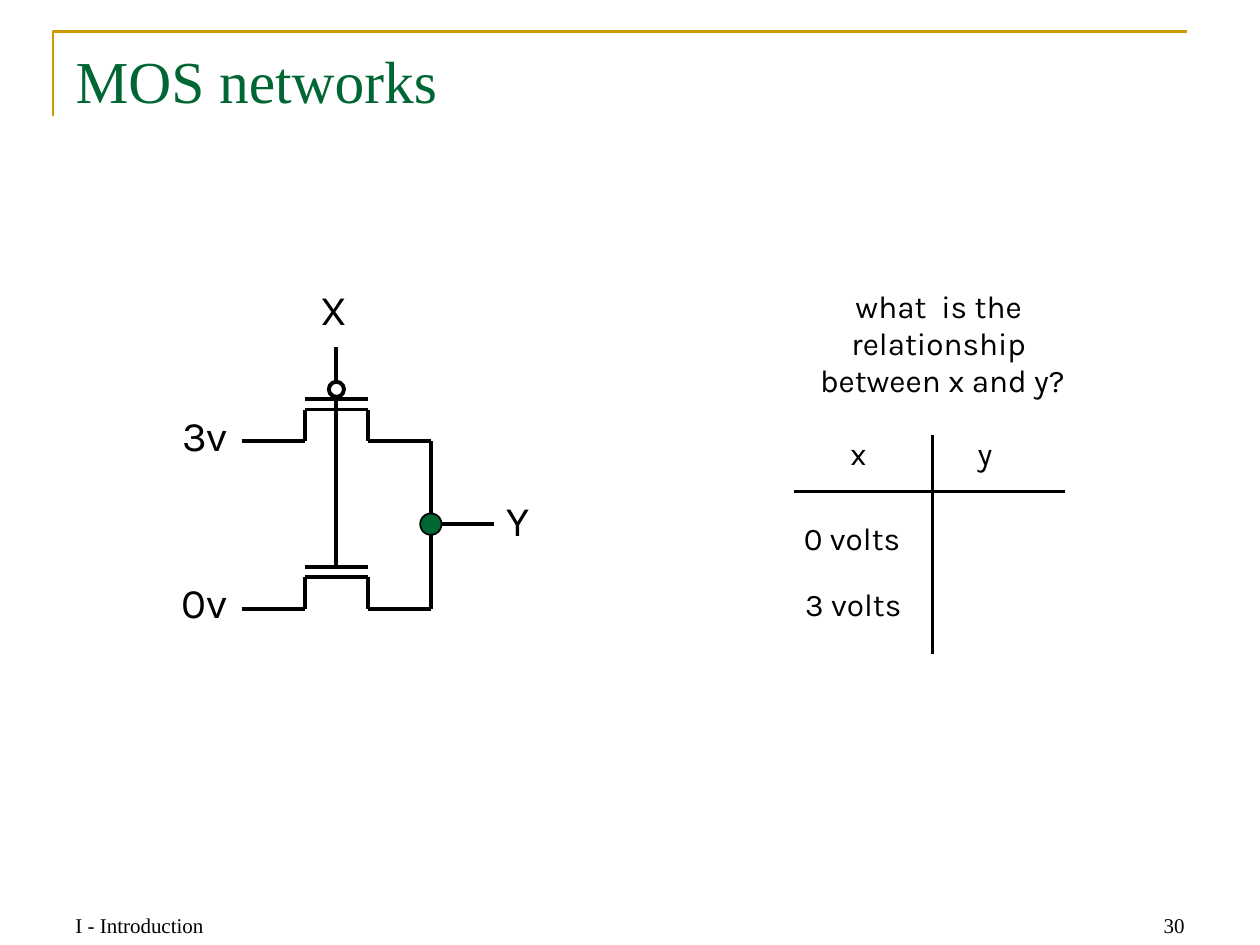
from pptx import Presentation
from pptx import util as u
from pptx.dml.color import RGBColor
from pptx.enum import shapes, text
from pptx.oxml.ns import qn
from lxml import etree

BLACK, WHITE, GREEN, GOLD = "000000", "FFFFFF", "006633", "CC9900"
SERIF, SANS = "Times New Roman", "Karla"
LEFT, CENTER, RIGHT = text.PP_ALIGN.LEFT, text.PP_ALIGN.CENTER, text.PP_ALIGN.RIGHT
TOP, BOTTOM = text.MSO_ANCHOR.TOP, text.MSO_ANCHOR.BOTTOM


def color(value):
    return RGBColor.from_string(value)


def inches(*values):
    return [u.Inches(v) for v in values]


def write(sp, content, font=SERIF, size=12, fill=BLACK, align=LEFT, anchor=TOP,
          wrap=True, spacing=None, insets=None):
    tf = sp.text_frame
    tf.auto_size = text.MSO_AUTO_SIZE.NONE
    tf.word_wrap = wrap
    tf.vertical_anchor = anchor
    if insets:
        tf.margin_left = tf.margin_right = u.Inches(insets[0])
        tf.margin_top = tf.margin_bottom = u.Inches(insets[1])
    p = tf.paragraphs[0]
    p.text = content
    p.alignment = align
    if spacing:
        p.line_spacing = u.Pt(spacing)
    for r in p.runs:
        r.font.name, r.font.size = font, u.Pt(size)
        r.font.color.rgb = color(fill)


def add_label(s, content, box, size=18, align=LEFT):
    sp = s.shapes.add_textbox(*inches(*box))
    write(sp, content, font=SANS, size=size, align=align, wrap=False,
          spacing=21, insets=(0.02, 0.03))


def add_line(parent, start, end, width=2.25):
    line = parent.shapes.add_connector(shapes.MSO_CONNECTOR.STRAIGHT,
                                       *inches(*start, *end))
    line.line.color.rgb = color(BLACK)
    line.line.width = u.Pt(width)
    etree.SubElement(line._element.spPr, qn("a:effectLst"))


def add_circle(parent, center, diameter, fill, width):
    x, y = center
    sp = parent.shapes.add_shape(
        shapes.MSO_SHAPE.OVAL,
        *inches(x - diameter / 2, y - diameter / 2, diameter, diameter))
    sp.shadow.inherit = False
    sp.fill.solid()
    sp.fill.fore_color.rgb = color(fill)
    sp.line.color.rgb = color(BLACK)
    sp.line.width = u.Pt(width)


def add_frame(s, left, top, width, height):
    """Corner rule, title and footer."""
    builder = s.shapes.build_freeform(*inches(left, top + height), scale=1.0)
    builder.add_line_segments([inches(left, top), inches(left + width, top)],
                              close=False)
    corner = builder.convert_to_shape()
    corner.shadow.inherit = False
    corner.fill.background()
    corner.line.color.rgb = color(GOLD)
    corner.line.width = u.Pt(1.5)

    title = s.shapes.title
    title.left, title.top, title.width, title.height = inches(0.5, 0.3, 9, 1.25)
    write(title, "MOS networks", size=34, fill=GREEN)

    for content, x, align in (("I - Introduction", 0.5, LEFT), ("30", 7.17, RIGHT)):
        sp = s.shapes.add_textbox(*inches(x, 6.99, 2.33, 0.5))
        write(sp, content, align=align, anchor=BOTTOM)


def add_transistor(s, left, base, inverted=False):
    """Source lead, channel, drain lead and gate; 1.5 inches wide."""
    group = s.shapes.add_group_shape()
    top, gate = base - 0.25, base - 0.33
    x1, x2, right, middle = left + 0.5, left + 1, left + 1.5, left + 0.75
    channel = [(left, base), (x1, base), (x1, top), (x2, top), (x2, base), (right, base)]
    for start, end in zip(channel, channel[1:]):
        add_line(group, start, end)
    add_line(group, (x1, gate), (x2, gate))
    add_line(group, (middle, gate), (middle, gate - 0.25))
    if inverted:
        add_circle(group, (middle, gate - 0.08), 0.12, WHITE, 2.25)


def add_circuit(s, left, top):
    """Inverter built from two transistors with a common gate and output."""
    upper, lower = top + 1.17, top + 2.5
    gate_x, out_x, out_y = left + 1.24, left + 1.99, top + 1.83

    # Wires
    add_line(s, (out_x, upper), (out_x, lower))
    add_line(s, (out_x, out_y), (out_x + 0.5, out_y))
    add_line(s, (gate_x, top + 2.01), (gate_x, top + 0.42))

    # Transistors and output node
    add_transistor(s, left + 0.49, lower)
    add_transistor(s, left + 0.49, upper, inverted=True)
    add_circle(s, (out_x, out_y), 0.17, GREEN, 1)

    # Terminals
    for content, x, y, align in (("X", 1.09, 0, LEFT), ("Y", 2.57, 1.67, LEFT),
                                 ("3v", 0, 1, RIGHT), ("0v", 0, 2.32, RIGHT)):
        add_label(s, content, (left + x, top + y, 0.4, 0.45), 24, align)


def add_truth_table(s, left, top, width, height):
    """Question above an open two-column table drawn with crossed rules."""
    add_label(s, "what  is the \vrelationship \vbetween x and y?",
              (left + 0.03, top, 2.3, 1.03), align=CENTER)
    rule_y, rule_x = top + 1.64, left + 1.1
    add_line(s, (left, rule_y), (left + width, rule_y), 2)
    add_line(s, (rule_x, top + 1.19), (rule_x, top + height), 2)
    for content, x, y, w in (("x", 0.43, 1.16, 0.4), ("y", 1.44, 1.16, 0.4),
                             ("0 volts", 0.06, 1.84, 0.97),
                             ("3 volts", 0.07, 2.36, 0.97)):
        add_label(s, content, (left + x, top + y, w, 0.45))


def main():
    prs = Presentation()
    prs.slide_width, prs.slide_height = inches(10, 7.5)
    s = prs.slides.add_slide(prs.slide_layouts[5])
    s.background.fill.solid()
    s.background.fill.fore_color.rgb = color(WHITE)
    add_frame(s, 0.42, 0.25, 9, 0.67)
    add_circuit(s, 1.43, 2.33)
    add_truth_table(s, 6.3, 2.26, 2.15, 2.93)
    prs.save("out.pptx")


if __name__ == "__main__":
    main()
